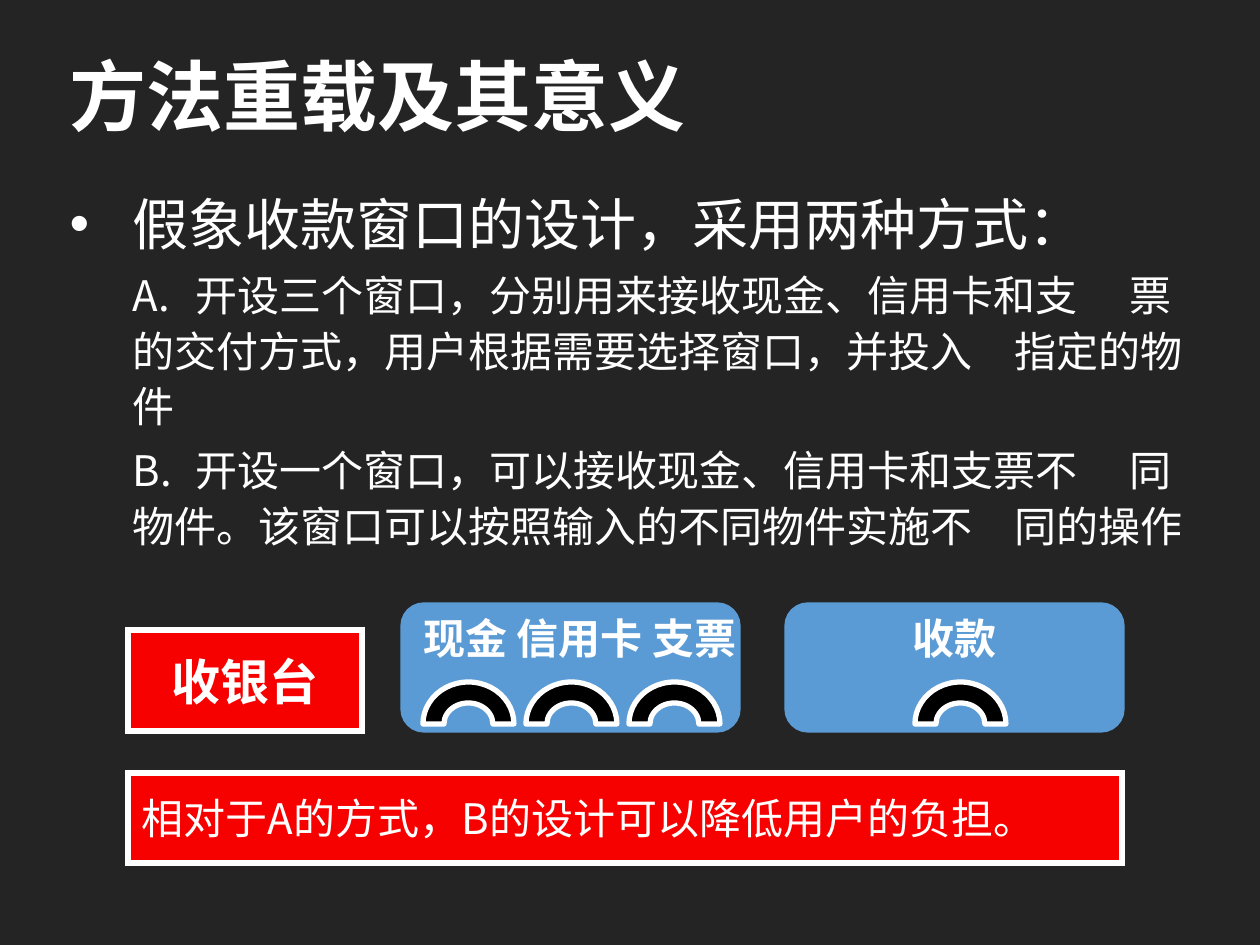
from lxml import etree
from pptx import Presentation
from pptx import util as u
from pptx.dml.color import RGBColor
from pptx.enum import shapes, text
from pptx.oxml import ns

COLORS = {"ground": "242424", "text": "FFFFFF", "alert": "F60000",
          "window": "5B9BD5", "arch": "000000"}
FONT = "Noto Sans CJK SC"
BULLET_INDENT = 63
ARCH_WIDTH, ARCH_HEIGHT, ARCH_STEP = 91, 84, 103


def px(length):
    return u.Emu(round(length * 914400 / 126))


def color(name):
    return RGBColor.from_string(COLORS[name])


def place(shape, box):
    shape.left, shape.top, shape.width, shape.height = map(px, box)


def style(paragraph, size, bold=False, align=text.PP_ALIGN.LEFT):
    paragraph.alignment = align
    for run in paragraph.runs:
        font = run.font
        font.size, font.bold, font.name = u.Pt(size), bold, FONT
        font.color.rgb = color("text")
        etree.SubElement(run._r.get_or_add_rPr(), ns.qn("a:ea"), typeface=FONT)


def add_shape(slide, kind, box, fill, line):
    shape = slide.shapes.add_shape(kind, *map(px, box))
    shape.shadow.inherit = False
    shape.fill.solid()
    shape.fill.fore_color.rgb = color(fill)
    shape.line.color.rgb = color(line)
    shape.line.width = u.Pt(3)
    return shape


def write_label(shape, words, size, bold, align):
    frame = shape.text_frame
    frame.text = words
    frame.word_wrap = False
    frame.margin_left = frame.margin_right = px(14)
    style(frame.paragraphs[0], size, bold, align)
    return frame


def add_title(slide, box, words):
    title = slide.shapes.title
    place(title, box)
    frame = title.text_frame
    frame.text = words
    frame.auto_size = text.MSO_AUTO_SIZE.NONE
    frame.vertical_anchor = text.MSO_ANCHOR.MIDDLE
    style(frame.paragraphs[0], 44, bold=True)


def add_body(slide, box, heading, options):
    body = slide.placeholders[1]
    place(body, box)
    frame = body.text_frame
    frame.text = "\n".join([heading, *options])
    frame.auto_size = text.MSO_AUTO_SIZE.NONE
    for index, paragraph in enumerate(frame.paragraphs):
        is_option = index > 0
        style(paragraph, 24 if is_option else 32)
        paragraph.level = int(is_option)
        paragraph.line_spacing = 1.1
        paragraph.space_before = u.Pt(5 if is_option else 10)
        # Hanging bullet for the heading, plain indent for the options
        properties = paragraph._p.get_or_add_pPr()
        properties.set("marL", str(px(BULLET_INDENT)))
        properties.set("indent", str(0 if is_option else -px(BULLET_INDENT)))
        if is_option:
            etree.SubElement(properties, ns.qn("a:buNone"))
        else:
            etree.SubElement(properties, ns.qn("a:buChar"), char="•")


def add_red_box(slide, box, words, size, bold, align):
    red_box = add_shape(slide, shapes.MSO_SHAPE.FLOWCHART_PROCESS, box, "alert", "text")
    etree.SubElement(red_box.line._get_or_add_ln(), ns.qn("a:miter"), lim="800000")
    frame = write_label(red_box, words, size, bold, align)
    frame.vertical_anchor = text.MSO_ANCHOR.MIDDLE


def add_pay_window(slide, box, words, align, arch_offset, arch_count):
    left, top, _, _ = box
    window = add_shape(slide, shapes.MSO_SHAPE.FLOWCHART_ALTERNATE_PROCESS,
                       box, "window", "window")
    frame = write_label(window, words, 24, True, align)
    frame.vertical_anchor = text.MSO_ANCHOR.TOP
    frame.margin_top = px(1)
    # One arched opening for each way to pay
    for index in range(arch_count):
        arch_box = (left + arch_offset + index * ARCH_STEP, top + 77,
                    ARCH_WIDTH, ARCH_HEIGHT)
        add_shape(slide, shapes.MSO_SHAPE.BLOCK_ARC, arch_box, "arch", "text")


def main():
    deck = Presentation()
    deck.slide_width, deck.slide_height = px(1260), px(945)
    slide = deck.slides.add_slide(deck.slide_layouts[1])
    slide.background.fill.solid()
    slide.background.fill.fore_color.rgb = color("ground")
    left, center = text.PP_ALIGN.LEFT, text.PP_ALIGN.CENTER

    # Title and the two designs
    add_title(slide, (57, 29, 1145, 131), "方法重载及其意义")
    add_body(slide, (57, 176, 1148, 699), "假象收款窗口的设计，采用两种方式：", [
        "A. \t开设三个窗口，分别用来接收现金、信用卡和支\t票的交付方式，"
        "用户根据需要选择窗口，并投入\t指定的物件",
        "B. \t开设一个窗口，可以接收现金、信用卡和支票不\t同物件。"
        "该窗口可以按照输入的不同物件实施不\t同的操作",
    ])

    # Cash desk with its windows
    add_red_box(slide, (128, 630, 234, 101), "收银台", 28, True, center)
    add_pay_window(slide, (403, 605, 335, 125), "现金 信用卡 支票", left, 20, 3)
    add_pay_window(slide, (787, 605, 335, 125), "收款", center, 128, 1)

    # Conclusion
    add_red_box(slide, (128, 773, 994, 90),
                "相对于A的方式，B的设计可以降低用户的负担。", 24, False, left)

    deck.save("out.pptx")


if __name__ == "__main__":
    main()
